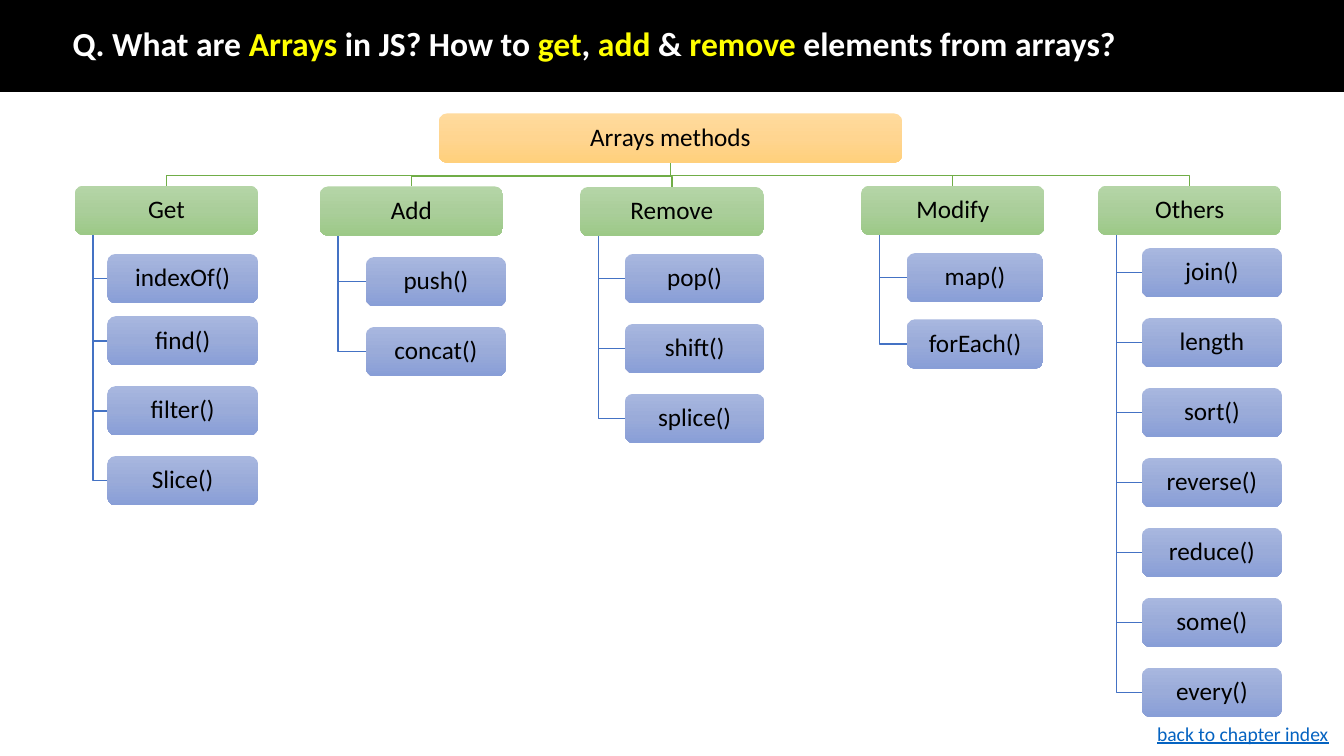
import copy
import pptx
import pptx.util
import pptx.dml.color
import pptx.enum.shapes
import pptx.enum.text
import pptx.oxml.ns

Pt = pptx.util.Pt
RGB = pptx.dml.color.RGBColor
KIND = pptx.enum.shapes.MSO_SHAPE
ALIGN = pptx.enum.text.PP_ALIGN
MIDDLE = pptx.enum.text.MSO_ANCHOR.MIDDLE
FIT = pptx.enum.text.MSO_AUTO_SIZE

BLACK = RGB(0x00, 0x00, 0x00)
WHITE = RGB(0xFF, 0xFF, 0xFF)
YELLOW = RGB(0xFF, 0xFF, 0x00)
LINK = RGB(0x05, 0x63, 0xC1)
BLUE = RGB(0x44, 0x72, 0xC4)
GREEN = RGB(0x70, 0xAD, 0x47)
ROOT = (RGB(0xFF, 0xDB, 0x9E), RGB(0xFF, 0xD5, 0x90), RGB(0xFF, 0xD0, 0x7C))
HEAD = (RGB(0xB5, 0xD5, 0xA7), RGB(0xAA, 0xCE, 0x9A), RGB(0x9C, 0xC9, 0x87))
LEAF = (RGB(0xA8, 0xB7, 0xDF), RGB(0x9A, 0xAB, 0xD9), RGB(0x88, 0x9E, 0xD7))

FONT = {"name": "Calibri", "size": Pt(18)}
TITLE = {"name": "Calibri", "size": Pt(24), "bold": True}
BACK = {"name": "Calibri", "size": Pt(14), "underline": True}
INSET = {"margin_left": Pt(1), "margin_top": Pt(1), "margin_right": Pt(1),
         "margin_bottom": Pt(1), "vertical_anchor": MIDDLE, "word_wrap": True}
HIGH = 35.2
STEP = 49.95

QUERY = [("Q. What are ", WHITE), ("Arrays", YELLOW), (" in JS? How to ", WHITE),
         ("get", YELLOW), (", ", WHITE), ("add", YELLOW), (" & ", WHITE),
         ("remove", YELLOW), (" elements from arrays?", WHITE)]

GROUPS = [
    ("Get", (53.4, 132.6), (23.3, 107.6),
     [("indexOf()", 48.8), ("find()", 93.3), ("filter()", 93.3 + STEP),
      ("Slice()", 93.3 + 2 * STEP)]),
    ("Add", (228.4, 133.2), (33, 100),
     [("push()", 50.4), ("concat()", 50.4 + STEP)]),
    ("Remove", (414.4, 133.5), (32, 99.6),
     [(name, 47.9 + STEP * i)
      for i, name in enumerate(("pop()", "shift()", "splice()"))]),
    ("Modify", (615.1, 132.6), (32.6, 97.6),
     [("map()", 48.2), ("forEach()", 95.5)]),
    ("Others", (784.3, 132.6), (31.4, 100),
     [(name, 44.6 + STEP * i)
      for i, name in enumerate(("join()", "length", "sort()", "reverse()",
                                "reduce()", "some()", "every()"))]),
]


def style(item, values):
    for key, value in values.items():
        setattr(item, key, value)


def write(para, text, form, tint):
    run = para.add_run()
    run.text = text
    style(run.font, form)
    run.font.color.rgb = tint


def node(slide, box, text, tints):
    shape = slide.shapes.add_shape(KIND.FLOWCHART_ALTERNATE_PROCESS, *map(Pt, box))
    shape.shadow.inherit = False
    shape.line.fill.background()
    shape.fill.gradient()
    shape.fill.gradient_angle = 270
    first = shape._element.spPr.find(".//" + pptx.oxml.ns.qn("a:gs"))
    mid = copy.deepcopy(first)
    mid.set("pos", "50000")
    first.addnext(mid)
    for stop, tint in zip(shape.fill.gradient_stops, tints):
        stop.color.rgb = tint
    style(shape.text_frame, INSET)
    para = shape.text_frame.paragraphs[0]
    style(para, {"alignment": ALIGN.CENTER, "line_spacing": 0.9})
    write(para, text, FONT, BLACK)


def elbow(slide, points, tint):
    spots = [(Pt(x), Pt(y)) for x, y in points]
    form = slide.shapes.build_freeform(*spots[0])
    form.add_line_segments(spots[1:], close=False)
    line = form.convert_to_shape()
    line.shadow.inherit = False
    line.fill.background()
    line.line.color.rgb = tint
    line.line.width = Pt(1)


def header(slide, box):
    left, top, width, height = box
    band = slide.shapes.add_shape(KIND.RECTANGLE, *map(Pt, box))
    band.shadow.inherit = False
    band.fill.solid()
    band.fill.fore_color.rgb = BLACK
    band.line.color.rgb = BLACK
    band.line.width = Pt(1)
    title = slide.shapes.title
    band._element.addnext(title._element)
    style(title, {"left": Pt(left + 44.6), "top": Pt(top + 20.7),
                  "width": Pt(width - 132), "height": Pt(25.2)})
    style(title.text_frame, {"auto_size": FIT.NONE, "word_wrap": True,
                             "vertical_anchor": MIDDLE})
    para = title.text_frame.paragraphs[0]
    style(para, {"alignment": ALIGN.LEFT, "line_spacing": 0.9})
    for text, tint in QUERY:
        write(para, text, TITLE, tint)


def branch(slide, box, name, inset, leaves):
    left, top, width, height = box
    indent, wide = inset
    trunk = left + width / 10
    for text, drop in reversed(leaves):
        mid = top + drop + height / 2
        elbow(slide, [(trunk, top + height), (trunk, mid), (left + indent, mid)], BLUE)
    node(slide, box, name, HEAD)
    for text, drop in leaves:
        node(slide, (left + indent, top + drop, wide, height), text, LEAF)


def tree(slide, box):
    left, top, width, height = box
    stem = left + width / 2
    for name, (x, y), inset, leaves in reversed(GROUPS):
        mid = x + 65.5
        elbow(slide, [(stem, top + height), (stem, y - 7.4), (mid, y - 7.4), (mid, y)], GREEN)
    node(slide, box, "Arrays methods", ROOT)
    for name, spot, inset, leaves in GROUPS:
        branch(slide, (*spot, 131, HIGH), name, inset, leaves)


def footer(slide, box):
    frame = slide.shapes.add_textbox(*map(Pt, box)).text_frame
    style(frame, {"word_wrap": True, "auto_size": FIT.SHAPE_TO_FIT_TEXT})
    write(frame.paragraphs[0], "back to chapter index", BACK, LINK)


def main():
    deck = pptx.Presentation()
    style(deck, {"slide_width": Pt(960), "slide_height": Pt(540)})
    slide = deck.slides.add_slide(deck.slide_layouts[5])
    header(slide, (0, -0.5, 960, 65.5))
    tree(slide, (313.4, 81, 331, HIGH))
    footer(slide, (819.4, 512, 140.6, 24.3))
    deck.save("out.pptx")


if __name__ == "__main__":
    main()
